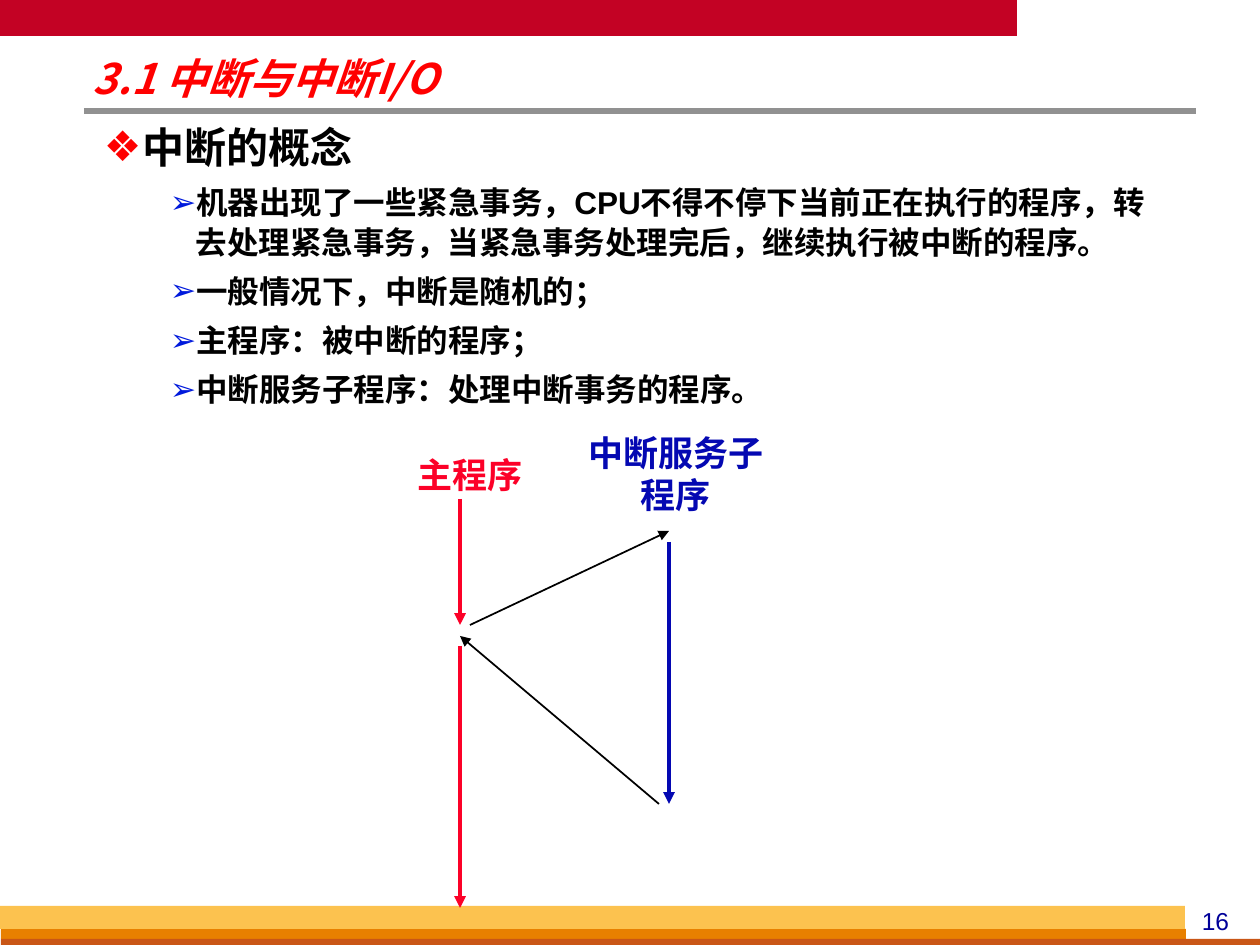
from dataclasses import dataclass
from lxml import etree
from pptx import Presentation
from pptx.dml.color import RGBColor
from pptx.enum.shapes import MSO_CONNECTOR, MSO_SHAPE
from pptx.enum.text import PP_ALIGN
from pptx.oxml.ns import qn
from pptx.util import Emu, Pt

STRAIGHT, RECT = MSO_CONNECTOR.STRAIGHT, MSO_SHAPE.RECTANGLE
LEFT, CENTER = PP_ALIGN.LEFT, PP_ALIGN.CENTER
PX = 914400 / 126


@dataclass(frozen=True)
class Theme:
    latin: str = "Arial"
    cjk: str = "Noto Sans CJK SC"
    title: str = "FF0000"
    ink: str = "000000"
    main: str = "FC0128"
    service: str = "0408B2"
    page: str = "000099"
    sub_bullet: str = "001ADC"
    rule: str = "919191"
    head: int = 24
    label: int = 20
    body: int = 18
    small: int = 14


T = Theme()

BANDS = [
    ((0, 0, 1017, 36), "C30224"),
    ((1, 929, 1185, 10), "E88000"),
    ((1, 939, 1260, 10), "C95616"),
    ((0, 906, 1185, 23), "FCC24F"),
]
TITLE = "3.1 中断与中断I/O"
HEADING = "中断的概念"
POINTS = [
    "机器出现了一些紧急事务，CPU不得不停下当前正在执行的程序，转去处理紧急事务，当紧急事务处理完后，继续执行被中断的程序。",
    "一般情况下，中断是随机的；",
    "主程序：被中断的程序；",
    "中断服务子程序：处理中断事务的程序。",
]
LABELS = [
    ("主程序", (365, 447, 210, 54), T.main),
    ("中断服务子程序", (571, 425, 210, 97), T.service),
]
MAIN_X, SERVICE_X, GAP = 460, 669, 10
ARROWS = [
    ((MAIN_X, 499), (MAIN_X, 625), T.main, 2.25),
    ((MAIN_X + GAP, 625), (SERVICE_X, 531), T.ink, 1),
    ((SERVICE_X, 542), (SERVICE_X, 804), T.service, 2.25),
    ((SERVICE_X - GAP, 804), (MAIN_X, 636), T.ink, 1),
    ((MAIN_X, 646), (MAIN_X, 908), T.main, 2.25),
]


def px(n):
    return Emu(round(n * PX))


def add_band(s, box, color):
    sp = s.shapes.add_shape(RECT, *map(px, box))
    sp.shadow.inherit = False
    sp.fill.solid()
    sp.fill.fore_color.rgb = RGBColor.from_string(color)
    sp.line.fill.background()


def add_line(s, start, end, color, width, arrow=True):
    c = s.shapes.add_connector(STRAIGHT, *map(px, start + end))
    c.line.color.rgb = RGBColor.from_string(color)
    c.line.width = Pt(width)
    if arrow:
        etree.SubElement(c.line._get_or_add_ln(), qn("a:tailEnd"), type="triangle")
    etree.SubElement(c._element.spPr, qn("a:effectLst"))


def add_box(s, box, inset=None):
    tf = s.shapes.add_textbox(*map(px, box)).text_frame
    tf.word_wrap = True
    if inset:
        tf.margin_left = tf.margin_right = px(inset[0])
        tf.margin_top = tf.margin_bottom = px(inset[1])
    return tf


def write(p, text, size, color, font=T.latin, bold=True, italic=False,
          align=LEFT, spacing=None, before=0):
    p.alignment = align
    p.line_spacing = spacing
    p.space_before = Pt(before)
    r = p.add_run()
    r.text = text
    r.font.size = Pt(size)
    r.font.name = font
    r.font.bold, r.font.italic = bold, italic
    r.font.color.rgb = RGBColor.from_string(color)
    etree.SubElement(r._r.get_or_add_rPr(), qn("a:ea"), typeface=T.cjk)


def add_bullet(p, char, color, left, hang):
    pPr = p._p.get_or_add_pPr()
    pPr.set("marL", str(px(left)))
    pPr.set("indent", str(-px(hang)))
    clr = etree.SubElement(pPr, qn("a:buClr"))
    etree.SubElement(clr, qn("a:srgbClr"), val=color)
    etree.SubElement(pPr, qn("a:buFont"), typeface=T.latin)
    etree.SubElement(pPr, qn("a:buChar"), char=char)


def main():
    prs = Presentation()
    prs.slide_width, prs.slide_height = px(1260), px(945)
    s = prs.slides.add_slide(prs.slide_layouts[6])

    add_band(s, *BANDS[0])
    add_line(s, (84, 111), (1196, 111), T.rule, 3, arrow=False)
    for band in BANDS[1:]:
        add_band(s, *band)

    tf = add_box(s, (1176, 900, 79, 42))
    write(tf.paragraphs[0], "16", T.small, T.page, bold=False, align=CENTER)
    tf = add_box(s, (84, 55, 725, 52), inset=(9, 4))
    write(tf.paragraphs[0], TITLE, T.head, T.title, font=T.cjk, italic=True, spacing=0.87)

    tf = add_box(s, (95, 115, 1081, 306), inset=(9, 4))
    p = tf.paragraphs[0]
    write(p, HEADING, T.head, T.ink, spacing=1.05, before=0.3 * T.head)
    add_bullet(p, "❖", T.title, 39, 39)
    for text in POINTS:
        p = tf.add_paragraph()
        p.level = 1
        write(p, text, T.body, T.ink, spacing=1.05, before=0.3 * T.body)
        add_bullet(p, "➢", T.sub_bullet, 92, 26)

    for arrow in ARROWS:
        add_line(s, *arrow)
    for text, box, color in LABELS:
        write(add_box(s, box).paragraphs[0], text, T.label, color, align=CENTER)

    prs.save("out.pptx")


if __name__ == "__main__":
    main()
